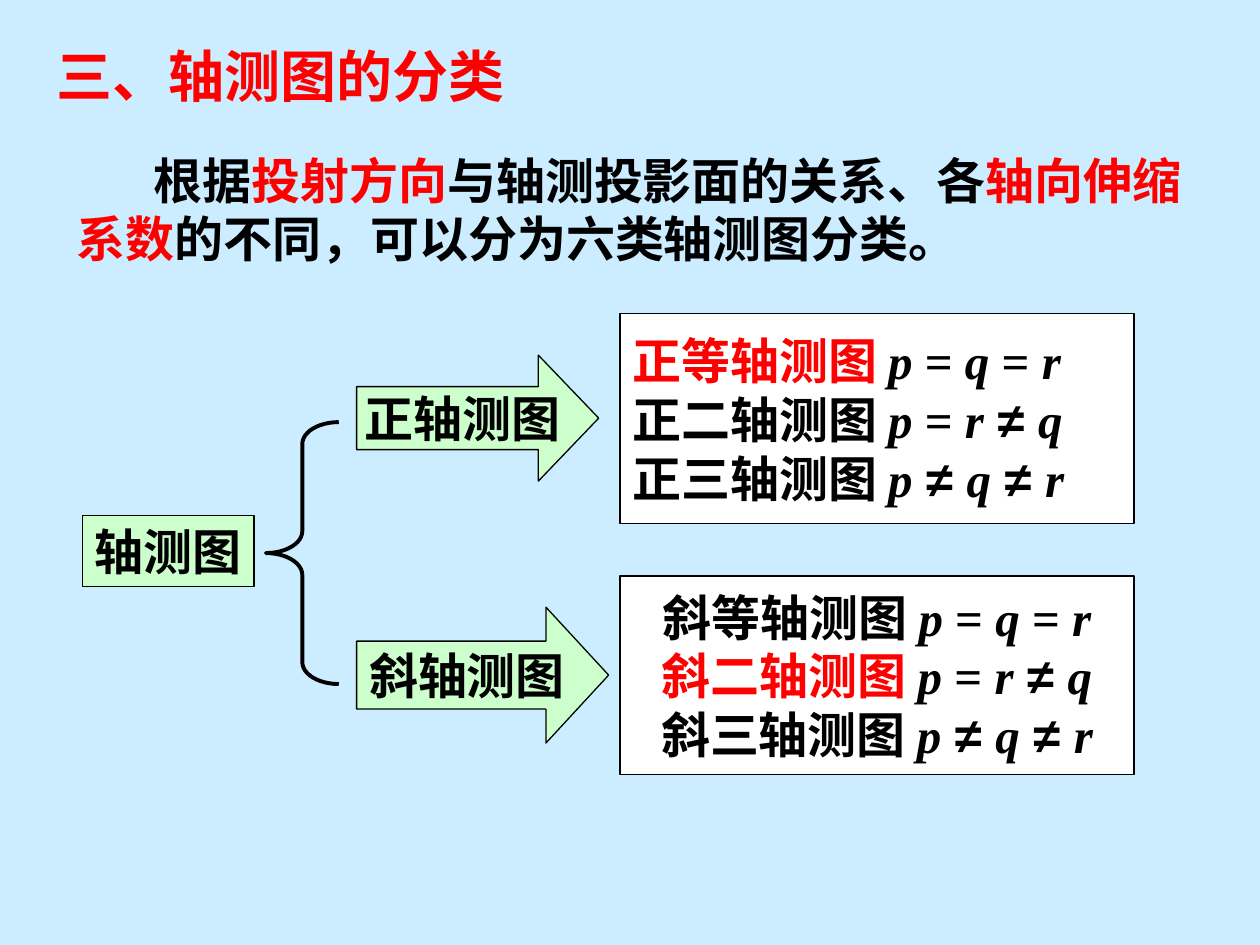
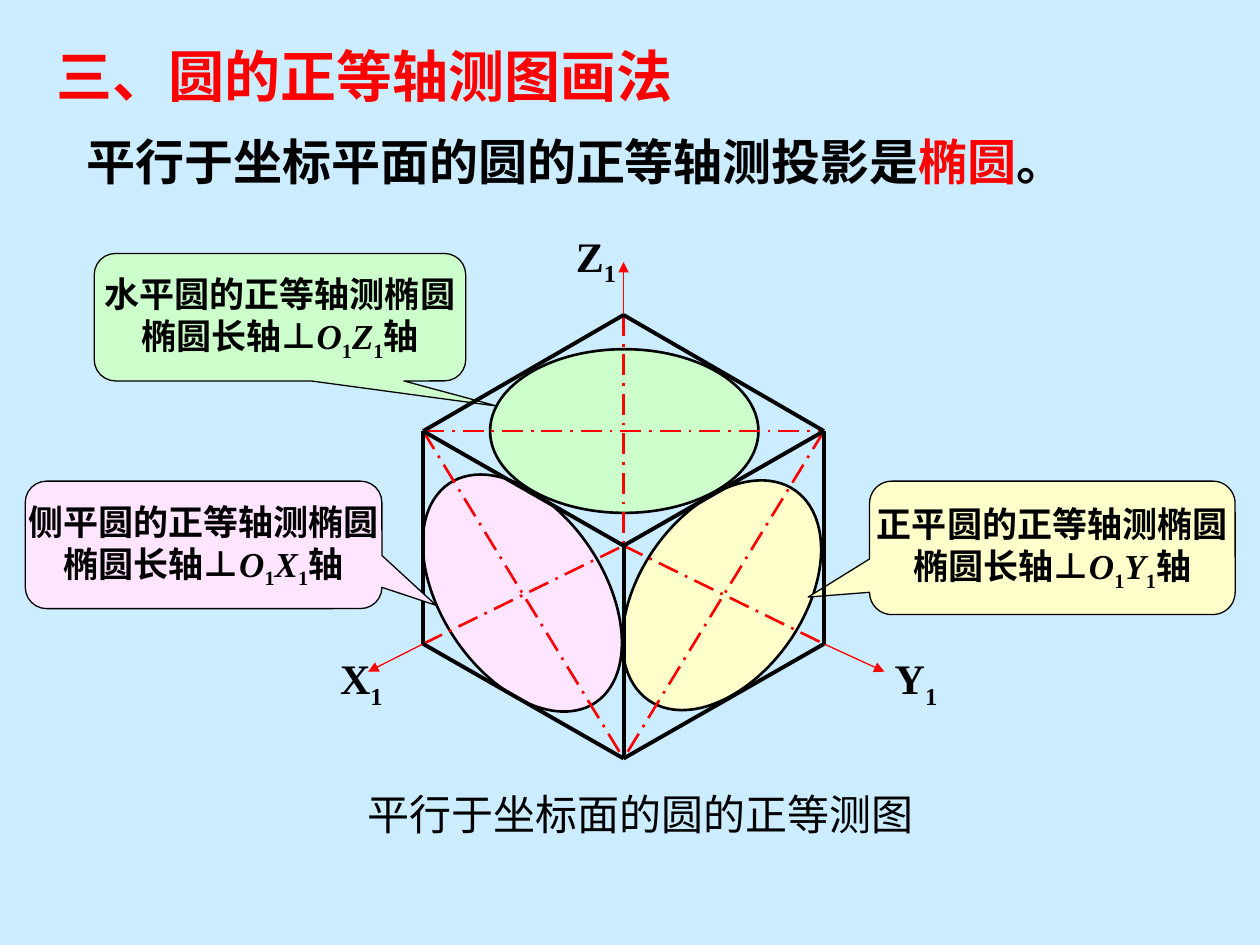
from typing import NamedTuple

from lxml.etree import SubElement
from pptx import Presentation
from pptx.dml.color import RGBColor
from pptx.enum.dml import MSO_LINE_DASH_STYLE as Dash
from pptx.enum.shapes import MSO_CONNECTOR as Connector, MSO_SHAPE as Preset
from pptx.enum.text import MSO_ANCHOR as Anchor, MSO_AUTO_SIZE as AutoSize, PP_ALIGN as Align
from pptx.oxml.ns import qn
from pptx.util import Cm, Pt

SKY, RED, BLACK, WHITE = "CCECFF", "FF0000", "000000", "FFFFFF"
GREEN, PINK, YELLOW = "CCFFCC", "FFE5FF", "FFFFCC"
SANS, SERIF, CHINESE = "Arial", "Times New Roman", "Noto Sans CJK SC"


class Span(NamedTuple):
    text: str
    color: str = BLACK
    font: str | None = None
    italic: bool = False
    subscript: bool = False


class Box(NamedTuple):
    left: float
    top: float
    width: float
    height: float


class Ellipse(NamedTuple):
    box: Box
    fill: str
    rotation: float


class Arrow(NamedTuple):
    box: Box
    text: str
    head: float


class Callout(NamedTuple):
    box: Box
    fill: str
    plane: str
    axis: str
    tip: tuple[float, float]


class Point(NamedTuple):
    x: float
    y: float


def rgb(color: str) -> RGBColor:
    return RGBColor.from_string(color)


def lengths(box: Box) -> list[Cm]:
    return [Cm(value) for value in box]


# Text
def write(frame, lines: list[list[Span]], size: float, font: str = SERIF, bold: bool = True,
          align=Align.CENTER, anchor=Anchor.MIDDLE, wrap: bool = False) -> None:
    frame.word_wrap = wrap
    frame.auto_size = AutoSize.NONE
    frame.vertical_anchor = anchor
    for number, spans in enumerate(lines):
        para = frame.add_paragraph() if number else frame.paragraphs[0]
        para.alignment = align
        para.font.size, para.font.bold, para.font.name = Pt(size), bold, font
        defaults = para._p.find(qn("a:pPr")).find(qn("a:defRPr"))
        SubElement(defaults, qn("a:ea")).set("typeface", CHINESE)
        for span in spans:
            run = para.add_run()
            run.text = span.text
            run.font.color.rgb = rgb(span.color)
            if span.font:
                run.font.name = span.font
            if span.italic:
                run.font.italic = True
            if span.subscript:
                run._r.get_or_add_rPr().set("baseline", "-25000")


def add_text(page, box: Box, lines: list[list[Span]], size: float, **style):
    frame = page.shapes.add_textbox(*lengths(box)).text_frame
    write(frame, lines, size, **style)
    return frame


def formula(name: str, relation: str, color: str = BLACK) -> list[Span]:
    spans = [Span(name + " ", color, CHINESE)]
    for token in relation.split():
        if token.isalpha():
            spans.append(Span(token, italic=True))
        else:
            spans.append(Span(f" {token} ", font=SANS if token == "≠" else None))
    return spans


def axis_name(letter: str, italic: bool = False) -> list[Span]:
    return [Span(letter, italic=italic), Span("1", subscript=True)]


# Shapes and lines
def add_shape(page, preset, box: Box, fill: str | None, weight: float = 0.75,
              adjustments: tuple[float, ...] = ()):
    shape = page.shapes.add_shape(preset, *lengths(box))
    shape.shadow.inherit = False
    if fill:
        shape.fill.solid()
        shape.fill.fore_color.rgb = rgb(fill)
    else:
        shape.fill.background()
    shape.line.color.rgb = rgb(BLACK)
    shape.line.width = Pt(weight)
    for index, value in enumerate(adjustments):
        shape.adjustments[index] = value
    return shape


def add_line(page, start: Point, end: Point, color: str, weight: float,
             dash=None, arrow: bool = False) -> None:
    line = page.shapes.add_connector(Connector.STRAIGHT, *map(Cm, (*start, *end)))
    line.line.color.rgb = rgb(color)
    line.line.width = Pt(weight)
    if dash:
        line.line.dash_style = dash
    properties = line._element.spPr
    if arrow:
        SubElement(properties.find(qn("a:ln")), qn("a:tailEnd")).set("type", "triangle")
    SubElement(properties, qn("a:effectLst"))


def add_callout(page, callout: Callout) -> None:
    shape = add_shape(page, Preset.ROUNDED_RECTANGULAR_CALLOUT, callout.box, callout.fill,
                      adjustments=(*callout.tip, 0.167))
    write(shape.text_frame, [
        [Span(f"{callout.plane}圆的正等轴测椭圆")],
        [Span("椭圆长轴⊥"), *axis_name("O", True), *axis_name(callout.axis, True), Span("轴")],
    ], 20)


def add_page(deck, title: str):
    page = deck.slides.add_slide(deck.slide_layouts[5])
    holder = page.shapes.title
    holder.left, holder.top, holder.width, holder.height = lengths(Box(0.89, 0.71, 22.86, 1.8))
    write(holder.text_frame, [[Span(title, RED)]], 32, font=SANS,
          align=Align.LEFT, anchor=Anchor.TOP, wrap=True)
    return page


# Slide 1: classification tree
def build_classification(deck) -> None:
    page = add_page(deck, "三、轴测图的分类")
    root = add_shape(page, Preset.RECTANGLE, Box(1.67, 10.39, 3.45, 1.44), GREEN)
    write(root.text_frame, [[Span("轴测图")]], 28)
    add_shape(page, Preset.LEFT_BRACE, Box(5.36, 8.51, 1.47, 5.28), None, 2.25, (0.3, 0.5))

    for arrow in (
        Arrow(Box(7.19, 7.16, 4.88, 2.54), "正轴测图", 0.479),
        Arrow(Box(7.19, 12.24, 5.08, 2.74), "斜轴测图", 0.461),
    ):
        shape = add_shape(page, Preset.RIGHT_ARROW, arrow.box, GREEN,
                          adjustments=(0.5, arrow.head))
        write(shape.text_frame, [[Span(arrow.text)]], 28)

    relations = {"等": "p = q = r", "二": "p = r ≠ q", "三": "p ≠ q ≠ r"}
    for family, highlight, top, height, align in (
        ("正", "等", 6.32, 4.24, Align.LEFT),
        ("斜", "二", 11.61, 4.01, Align.CENTER),
    ):
        panel = add_shape(page, Preset.RECTANGLE, Box(12.5, top, 10.36, height), WHITE)
        write(panel.text_frame,
              [formula(f"{family}{kind}轴测图", relation, RED if kind == highlight else BLACK)
               for kind, relation in relations.items()], 28, align=align)

    intro = add_text(page, Box(1.3, 2.9, 23.39, 2.64), [[
        Span("根据"), Span("投射方向", RED), Span("与轴测投影面的关系、各"),
        Span("轴向伸缩系数", RED), Span("的不同，可以分为六类轴测图分类。"),
    ]], 28, font=SANS, align=Align.LEFT, anchor=Anchor.TOP, wrap=True)
    intro.paragraphs[0]._p.get_or_add_pPr().set("indent", str(Cm(1.55)))


# Slide 2: circles on the faces of an isometric cube
def build_circles(deck) -> None:
    page = add_page(deck, "三、圆的正等轴测图画法")
    add_text(page, Box(1.5, 2.51, 21.2, 1.45), [[
        Span("平行于坐标平面的圆的正等轴测投影是"), Span("椭圆", RED), Span("。"),
    ]], 28, font=SANS, align=Align.LEFT, wrap=True)
    add_text(page, Box(6.96, 15.77, 11.89, 1.27), [[Span("平行于坐标面的圆的正等测图")]],
             24, font=CHINESE, bold=False)

    for ellipse in (
        Ellipse(Box(9.88, 7.04, 5.41, 3.3), GREEN, 0),
        Ellipse(Box(8.89, 9.3, 3.28, 5.31), PINK, 326.3),
        Ellipse(Box(12.9, 9.42, 3.3, 5.16), YELLOW, 35),
    ):
        add_shape(page, Preset.OVAL, ellipse.box, ellipse.fill, 1.5).rotation = ellipse.rotation

    middle, half = 12.57, 4.04
    west, east = middle - half, middle + half
    top, center, bottom = Point(middle, 6.35), Point(middle, 11), Point(middle, 15.29)
    left, right = Point(west, 8.69), Point(east, 8.69)
    low_left, low_right = Point(west, 12.98), Point(east, 12.98)

    # Face diagonals
    for start, end in ((left, right), (left, bottom), (low_left, center),
                       (right, bottom), (center, low_right), (top, center)):
        add_line(page, start, end, RED, 1.5, dash=Dash.LONG_DASH_DOT)

    # Callouts on either side of the cube edges in depth
    horizontal = Callout(Box(1.9, 5.11, 7.49, 2.57), GREEN, "水平", "Z", (0.585, 0.698))
    frontal = Callout(Box(17.53, 9.7, 7.37, 2.69), YELLOW, "正平", "Y", (-0.668, 0.369))
    lateral = Callout(Box(0.51, 9.7, 7.19, 2.57), PINK, "侧平", "X", (0.652, 0.474))
    add_callout(page, horizontal)
    add_callout(page, frontal)

    # Axes and their names
    for letter, start, end, name_left, name_top in (
        ("Z", top, Point(middle, 5.28), 11.33, 4.52),
        ("X", low_left, Point(7.42, 13.54), 6.6, 13.03),
        ("Y", low_right, Point(17.83, 13.54), 17.78, 13.03),
    ):
        add_line(page, start, end, RED, 0.75, arrow=True)
        add_text(page, Box(name_left, name_top, 1.37, 1.42), [axis_name(letter)], 24,
                 anchor=Anchor.TOP)

    # Cube edges: the outline, then the three meeting in front
    outline = (top, right, low_right, bottom, low_left, left)
    edges = [*zip(outline, outline[1:] + outline[:1]),
             *((center, corner) for corner in (left, right, bottom))]
    for start, end in edges:
        add_line(page, start, end, BLACK, 2.25)
    add_callout(page, lateral)


def main() -> None:
    deck = Presentation()
    deck.slide_width, deck.slide_height = Cm(25.4), Cm(19.05)
    backdrop = deck.slide_master.background.fill
    backdrop.solid()
    backdrop.fore_color.rgb = rgb(SKY)
    build_classification(deck)
    build_circles(deck)
    deck.save("out.pptx")


if __name__ == "__main__":
    main()
